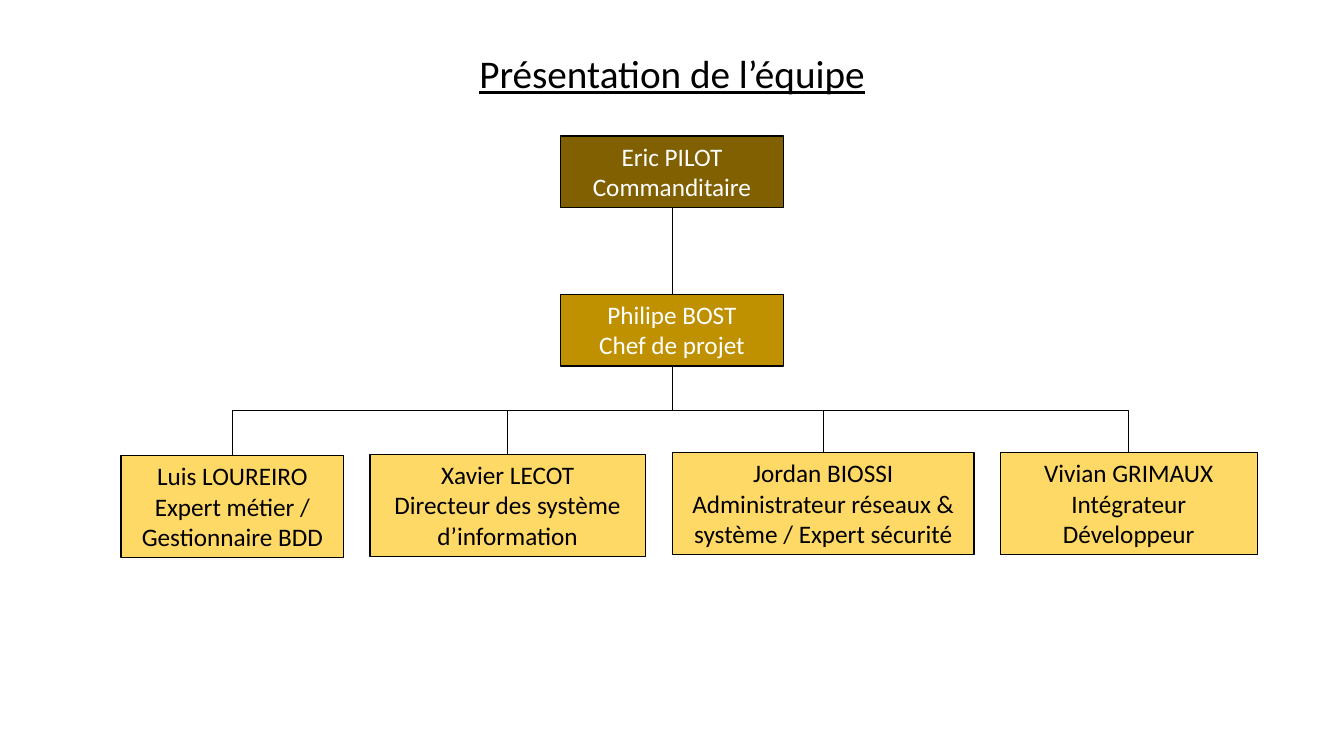
from lxml import etree
from pptx import Presentation
from pptx.dml.color import RGBColor
from pptx.enum.shapes import MSO_CONNECTOR, MSO_SHAPE
from pptx.enum.text import MSO_ANCHOR, MSO_AUTO_SIZE, PP_ALIGN
from pptx.oxml.ns import qn
from pptx.util import Inches, Pt

BLACK, WHITE = "000000", "FFFFFF"
BROWN, GOLD, YELLOW = "806000", "BF9000", "FFD966"
BOX_W, LEAD_X, LEAD_H, MEMBER_H = 2.21, 5.56, 0.71, 1.01
BUS_Y = Inches(4.07)

MEMBERS = [
    (1.2, 4.52, BOX_W, ["Luis LOUREIRO", "Expert métier / Gestionnaire BDD"]),
    (3.67, 4.51, 2.73, ["Xavier LECOT", "Directeur des système d’information"]),
    (6.67, 4.49, 2.99, ["Jordan BIOSSI", "Administrateur réseaux & système / Expert sécurité"]),
    (9.92, 4.49, 2.55, ["Vivian GRIMAUX", "Intégrateur", "Développeur"]),
]


def rgb(value):
    """Turn a hex string into a colour."""
    return RGBColor.from_string(value)


def write(sp, lines, size, color, underline=None):
    """Fill a shape with centred paragraphs."""
    tf = sp.text_frame
    tf.word_wrap = True
    tf.auto_size = MSO_AUTO_SIZE.SHAPE_TO_FIT_TEXT
    tf.vertical_anchor = MSO_ANCHOR.TOP
    for i, line in enumerate(lines):
        p = tf.add_paragraph() if i else tf.paragraphs[0]
        p.alignment = PP_ALIGN.CENTER
        r = p.add_run()
        r.text = line
        r.font.name = "Calibri"
        r.font.size = Pt(size)
        r.font.color.rgb = rgb(color)
        r.font.underline = underline


def add_title(s, text):
    """Add the underlined slide title."""
    sp = s.shapes.add_textbox(Inches(4.48), Inches(0.44), Inches(4.37), Inches(0.57))
    write(sp, [text], 28, BLACK, True)


def add_box(s, x, y, w, h, lines, fill, color):
    """Add one person's box and return it."""
    sp = s.shapes.add_shape(MSO_SHAPE.RECTANGLE, Inches(x), Inches(y), Inches(w), Inches(h))
    sp.shadow.inherit = False
    sp.fill.solid()
    sp.fill.fore_color.rgb = rgb(fill)
    sp.line.color.rgb = rgb(BLACK)
    sp.line.width = Pt(1)
    write(sp, lines, 18, color)
    return sp


def add_link(s, parent, child, kind):
    """Join the bottom of one box to the top of another."""
    cxn = s.shapes.add_connector(kind, 0, 0, 0, 0)
    cxn.begin_connect(parent, 2)
    cxn.end_connect(child, 0)
    cxn.line.color.rgb = rgb(BLACK)
    cxn.line.width = Pt(0.5)
    etree.SubElement(cxn._element.spPr, qn("a:effectLst"))
    return cxn


def add_branch(s, parent, child):
    """Add an elbow link that leaves downwards and turns at the shared level."""
    cxn = add_link(s, parent, child, MSO_CONNECTOR.ELBOW)
    x1, y1, x2, y2 = cxn.begin_x, cxn.begin_y, cxn.end_x, cxn.end_y
    drop, run = y2 - y1, abs(x2 - x1)
    cxn.left, cxn.top = (x1 + x2 - drop) // 2, (y1 + y2 - run) // 2
    cxn.width, cxn.height = drop, run
    to_right = x2 > x1
    xfrm = cxn._element.spPr.find(qn("a:xfrm"))
    xfrm.set("rot", "16200000" if to_right else "5400000")
    xfrm.set("flipH", "1" if to_right else "0")
    turn = round((BUS_Y - y1) / drop * 100000)
    av = cxn._element.spPr.find(qn("a:prstGeom")).find(qn("a:avLst"))
    etree.SubElement(av, qn("a:gd"), name="adj1", fmla=f"val {turn}")


def main():
    """Build the team chart."""
    prs = Presentation()
    prs.slide_width, prs.slide_height = Inches(13.33), Inches(7.5)
    s = prs.slides.add_slide(prs.slide_layouts[6])
    sponsor = add_box(s, LEAD_X, 1.35, BOX_W, LEAD_H, ["Eric PILOT", "Commanditaire"], BROWN, WHITE)
    manager = add_box(s, LEAD_X, 2.92, BOX_W, LEAD_H, ["Philipe BOST", "Chef de projet"], GOLD, WHITE)
    members = [add_box(s, x, y, w, MEMBER_H, lines, YELLOW, BLACK) for x, y, w, lines in MEMBERS]
    add_title(s, "Présentation de l’équipe")
    for member in members:
        add_branch(s, manager, member)
    add_link(s, sponsor, manager, MSO_CONNECTOR.STRAIGHT)
    prs.save("out.pptx")


if __name__ == "__main__":
    main()
